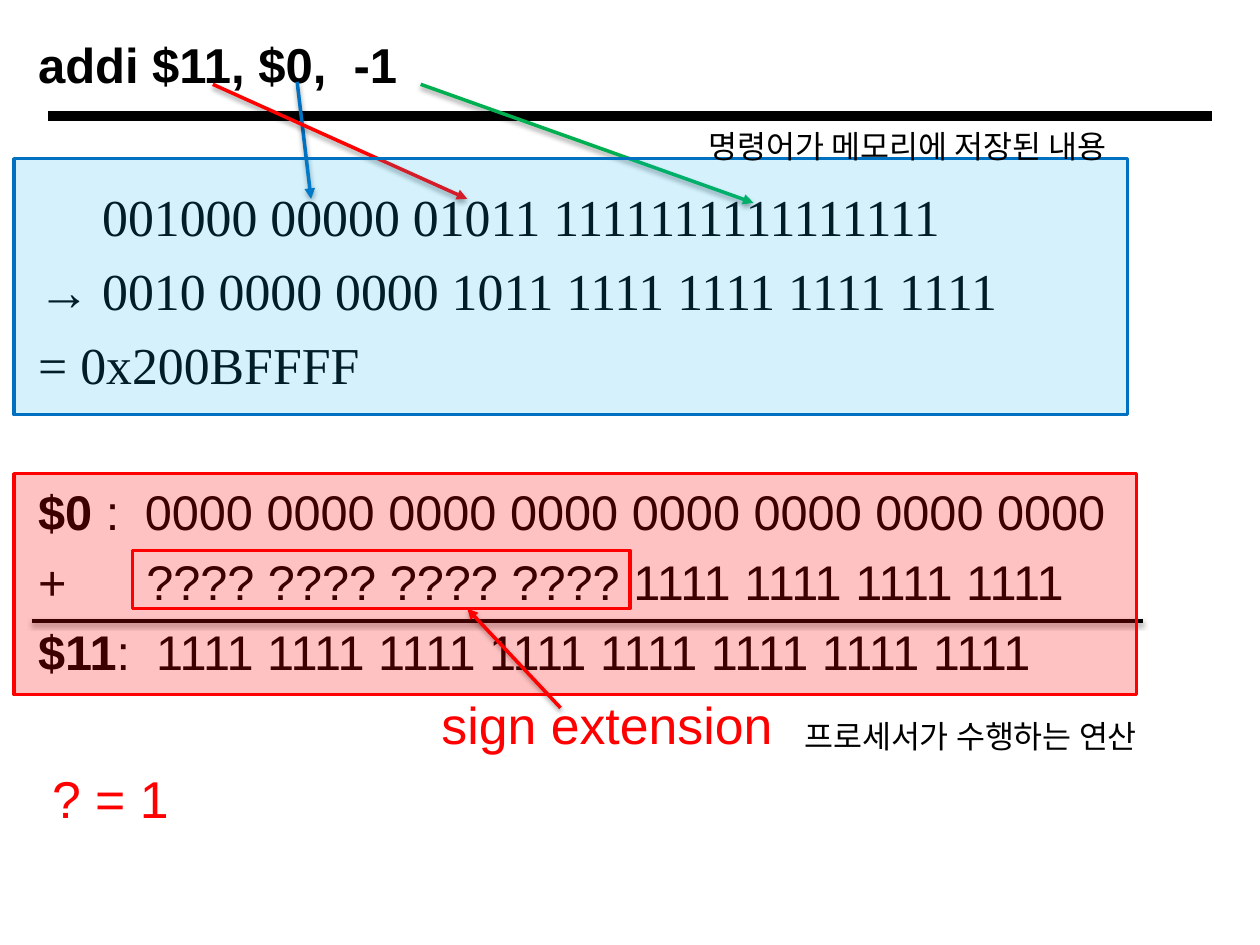
from dataclasses import dataclass

from lxml import etree
from pptx import Presentation
from pptx.dml.color import RGBColor
from pptx.enum.shapes import MSO_CONNECTOR, MSO_SHAPE
from pptx.enum.text import MSO_ANCHOR
from pptx.oxml import parse_xml
from pptx.oxml.ns import nsdecls, qn
from pptx.util import Cm, Pt

STRAIGHT = MSO_CONNECTOR.STRAIGHT
RECTANGLE = MSO_SHAPE.RECTANGLE
MIDDLE = MSO_ANCHOR.MIDDLE
TOP = MSO_ANCHOR.TOP


@dataclass(frozen=True)
class Theme:
    black: RGBColor = RGBColor(0, 0, 0)
    red: RGBColor = RGBColor(0xFF, 0, 0)
    blue: RGBColor = RGBColor(0, 0x70, 0xC0)
    sky: RGBColor = RGBColor(0, 0xB0, 0xF0)
    green: RGBColor = RGBColor(0, 0xB0, 0x50)
    sans: str = "Arial"
    serif: str = "Times New Roman"
    title: float = 28
    code: float = 29.6
    sum: float = 27.8
    note: float = 18
    row_gap: float = 6.8
    group_gap: float = 49.4


theme = Theme()

SHADOW = (
    f'<a:effectLst {nsdecls("a")}><a:outerShdw blurRad="38100" dist="20320" '
    'dir="5400000" rotWithShape="0"><a:srgbClr val="000000">'
    '<a:alpha val="38000"/></a:srgbClr></a:outerShdw></a:effectLst>'
)

presentation = Presentation()
presentation.slide_width = Cm(25.4)
presentation.slide_height = Cm(19.05)
slide = presentation.slides.add_slide(presentation.slide_layouts[6])


def add_text_frame(left, top, width, height, anchor=TOP, wrap=True):
    frame = slide.shapes.add_textbox(Cm(left), Cm(top), Cm(width), Cm(height)).text_frame
    frame.margin_left = frame.margin_right = Cm(0.13)
    frame.margin_top = frame.margin_bottom = Cm(0.13)
    frame.vertical_anchor = anchor
    frame.word_wrap = wrap
    return frame


def add_run(paragraph, text, size, font=theme.sans, color=theme.black, bold=False):
    run = paragraph.add_run()
    run.text = text
    run.font.size = Pt(size)
    run.font.name = font
    run.font.color.rgb = color
    run.font.bold = bold


# Title
title = add_text_frame(0.64, 0.43, 21.16, 1.7, anchor=MIDDLE)
add_run(title.paragraphs[0], "addi $11, $0,  -1", theme.title, bold=True)

# Instruction encoding and addition: (space before, text column, first-line indent, runs)
code = (theme.code, theme.serif)
total = (theme.sum, theme.sans)
answer = (theme.code, theme.sans, theme.red)
rows = [
    (0, 1.29, 0, [("001000 00000 01011 1111111111111111", *code)]),
    (theme.row_gap, 1.29, -1.29, [("→\t0010 0000 0000 1011 1111 1111 1111 1111", *code)]),
    (theme.row_gap, 0, 0, [("= 0x200BFFFF", *code)]),
    (theme.group_gap, 2.15, -2.15, [
        ("$0 ", *total, theme.black, True),
        (":\t0000 0000 0000 0000 0000 0000 0000 0000", *total)]),
    (theme.row_gap, 2.18, -2.18, [("+\t???? ???? ???? ???? 1111 1111 1111 1111", *total)]),
    (theme.row_gap, 2.38, -2.38, [
        ("$11", *total, theme.black, True),
        (":\t1111 1111 1111 1111 1111 1111 1111 1111", *total)]),
    (theme.row_gap, 8.13, 0, [("sign extension", *answer)]),
    (theme.row_gap, 0.28, 0, [("? = 1", *answer)]),
]
body = add_text_frame(0.64, 3.6, 23.29, 14.58)
for index, (space, column, indent, runs) in enumerate(rows):
    paragraph = body.add_paragraph() if index else body.paragraphs[0]
    paragraph.space_before = Pt(space)
    properties = paragraph._p.get_or_add_pPr()
    properties.set("marL", str(Cm(column)))
    properties.set("indent", str(Cm(indent)))
    for run in runs:
        add_run(paragraph, *run)

# Title rule, field arrows, sum line and sign extension arrow:
# (start x, start y, end x, end y, colour, width, arrow, shadow)
lines = [
    (0.97, 2.34, 24.43, 2.34, theme.black, 6, False, False),
    (5.99, 1.65, 6.27, 4.01, theme.blue, 2, True, True),
    (4.29, 1.7, 9.42, 4.01, theme.red, 2, True, True),
    (8.48, 1.7, 15.19, 4.09, theme.green, 2, True, True),
    (0.64, 12.52, 23.04, 12.52, theme.black, 2, False, True),
    (11.3, 14.27, 9.42, 12.27, theme.red, 2, True, True),
]
for x1, y1, x2, y2, color, width, arrow, shadow in lines:
    line = slide.shapes.add_connector(STRAIGHT, Cm(x1), Cm(y1), Cm(x2), Cm(y2))
    line.line.color.rgb = color
    line.line.width = Pt(width)
    if arrow:
        etree.SubElement(line.line._get_or_add_ln(), qn("a:tailEnd"), type="triangle")
    effects = parse_xml(SHADOW) if shadow else etree.Element(qn("a:effectLst"))
    line._element.spPr.append(effects)

# Frames: (left, top, width, height, line colour, fill colour, opacity in percent)
frames = [
    (2.67, 11.1, 10.03, 1.17, theme.red, None, 0),
    (0.28, 3.2, 22.45, 5.16, theme.blue, theme.sky, 17),
    (0.28, 9.55, 22.63, 4.45, theme.red, theme.red, 24),
]
for left, top, width, height, color, fill, opacity in frames:
    frame = slide.shapes.add_shape(RECTANGLE, Cm(left), Cm(top), Cm(width), Cm(height))
    frame.shadow.inherit = False
    frame.line.color.rgb = color
    frame.line.width = Pt(2)
    if fill is None:
        frame.fill.background()
        continue
    frame.fill.solid()
    frame.fill.fore_color.rgb = fill
    fill_color = frame._element.spPr.find(qn("a:solidFill"))[0]
    etree.SubElement(fill_color, qn("a:alpha"), val=str(opacity * 1000))

# Frame captions
captions = [
    (14.15, 2.44, 9.12, "명령어가 메모리에 저장된 내용"),
    (16.08, 14.33, 7.85, "프로세서가 수행하는 연산"),
]
for left, top, width, text in captions:
    caption = add_text_frame(left, top, width, 1.02, wrap=False)
    add_run(caption.paragraphs[0], text, theme.note)

presentation.save("out.pptx")
